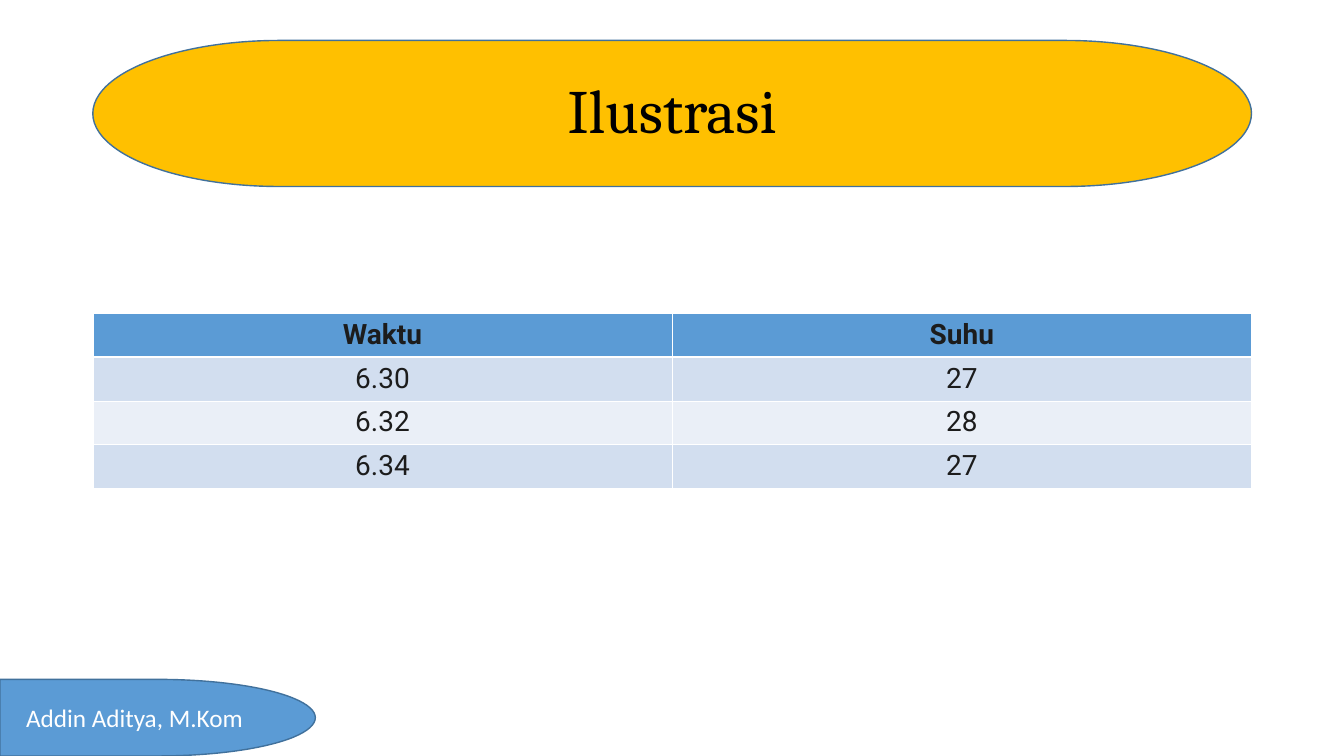
import lxml.etree
import pptx
import pptx.dml.color
import pptx.enum.shapes
import pptx.enum.text
import pptx.oxml.ns
import pptx.util

Cm = pptx.util.Cm
Pt = pptx.util.Pt
SHAPE = pptx.enum.shapes.MSO_SHAPE
CENTER = pptx.enum.text.PP_ALIGN.CENTER
MIDDLE = pptx.enum.text.MSO_ANCHOR.MIDDLE

BLUE, OUTLINE, WHITE = "5B9BD5", "41719C", "FFFFFF"
BANDS = ("D2DEEF", "EAEFF7")
READINGS = [("Waktu", "Suhu"), ("6.30", "27"), ("6.32", "28"), ("6.34", "27")]


def color(hex_code):
    return pptx.dml.color.RGBColor.from_string(hex_code)


def write(frame, text, font, size, hex_code, bold=False):
    paragraph = frame.paragraphs[0]
    paragraph.alignment = CENTER
    run = paragraph.add_run()
    run.text = text
    run.font.name = font
    run.font.size = Pt(size)
    run.font.bold = bold
    run.font.color.rgb = color(hex_code)
    return paragraph


def add_panel(slide, preset, box, fill):
    panel = slide.shapes.add_shape(preset, *map(Cm, box))
    panel.shadow.inherit = False
    panel.fill.solid()
    panel.fill.fore_color.rgb = color(fill)
    panel.line.color.rgb = color(OUTLINE)
    panel.line.width = Pt(1)
    return panel


def add_heading(slide, box):
    banner = add_panel(slide, SHAPE.FLOWCHART_TERMINATOR, box, "FFC000")
    title = slide.shapes.title
    title.left, title.top, title.width, title.height = map(Cm, box)
    title.text_frame.vertical_anchor = MIDDLE
    heading = write(title.text_frame, "Ilustrasi", "Cambria", 44, "000000")
    heading.line_spacing = 0.9
    # Bring the title in front of its banner
    banner.element.addnext(title.element)


def add_author_tab(slide, box):
    author = add_panel(slide, SHAPE.FLOWCHART_DELAY, box, BLUE)
    author.text_frame.word_wrap = True
    author.text_frame.vertical_anchor = MIDDLE
    write(author.text_frame, "Addin Aditya, M.Kom", "Calibri", 18, WHITE)


def set_border(cell, side, width):
    qn = pptx.oxml.ns.qn
    properties = cell._tc.get_or_add_tcPr()
    border = lxml.etree.SubElement(properties, qn(f"a:ln{side}"), w=str(Pt(width)))
    fill = lxml.etree.SubElement(border, qn("a:solidFill"))
    lxml.etree.SubElement(fill, qn("a:srgbClr"), val=WHITE)


def add_readings_table(slide, box):
    frame = slide.shapes.add_table(len(READINGS), len(READINGS[0]), *map(Cm, box))
    for row, values in enumerate(READINGS):
        is_header = row == 0
        for column, value in enumerate(values):
            cell = frame.table.cell(row, column)
            # Borders go before the fill; the line under the header is heavier
            for side in "LRTB":
                heavy = (row, side) in ((0, "B"), (1, "T"))
                set_border(cell, side, 1.47 if heavy else 0.45)
            cell.fill.solid()
            cell.fill.fore_color.rgb = color(BLUE if is_header else BANDS[(row - 1) % 2])
            write(cell.text_frame, value, "Roboto", 20, "1C1C1C", is_header)


def main():
    deck = pptx.Presentation()
    deck.slide_width, deck.slide_height = Cm(33.88), Cm(19.05)
    slide = deck.slides.add_slide(deck.slide_layouts[5])

    left, width = 2.34, 29.21
    add_heading(slide, (left, 1.02, width, 3.68))
    add_author_tab(slide, (0, 17.12, 7.95, 1.93))
    add_readings_table(slide, (left, 7.9, width, 4.4))

    deck.save("out.pptx")


if __name__ == "__main__":
    main()
